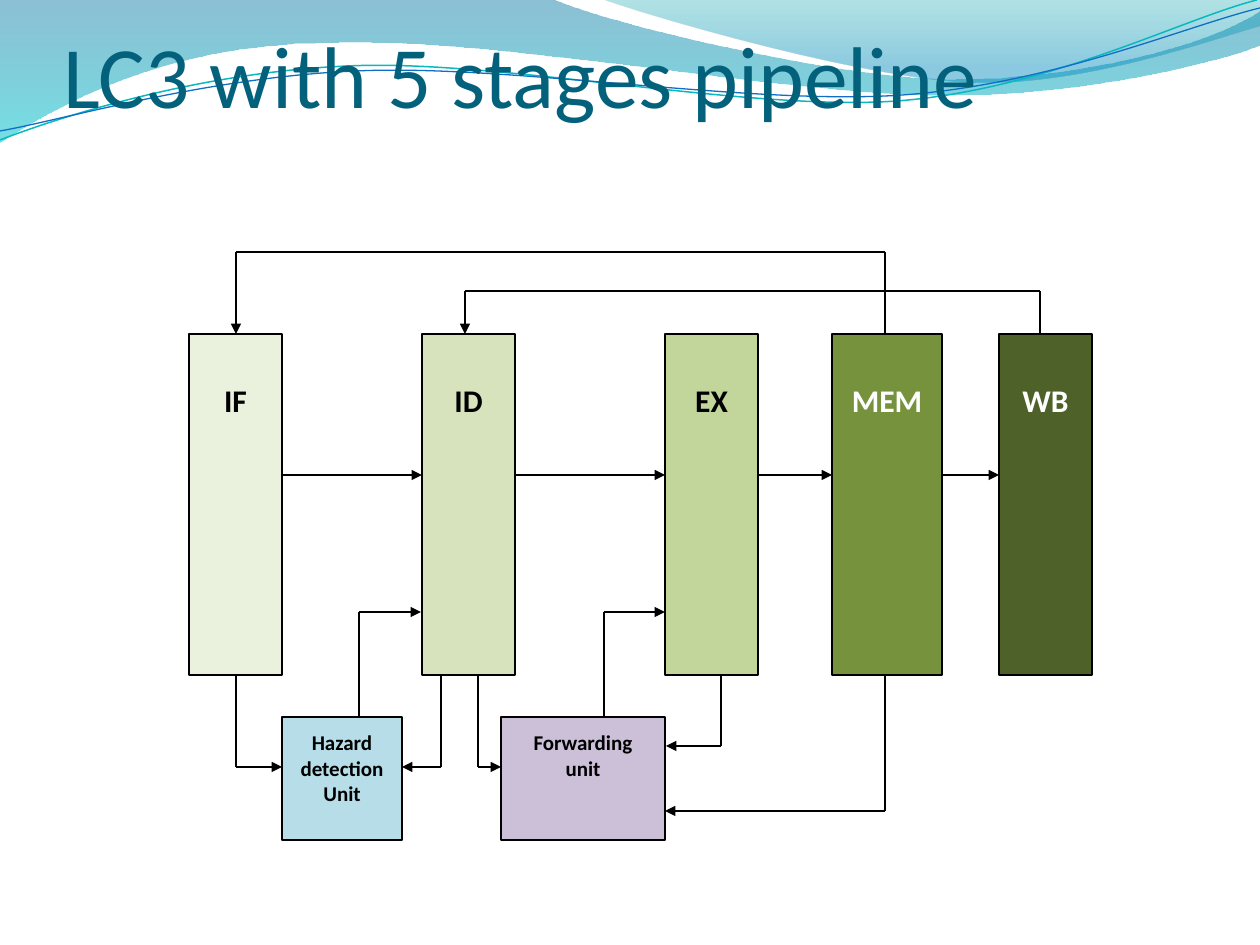
from itertools import pairwise
from lxml.etree import SubElement
from pptx import Presentation
from pptx.dml.color import RGBColor
from pptx.enum.shapes import MSO_CONNECTOR as CONN, MSO_SHAPE as SHAPE
from pptx.enum.text import MSO_ANCHOR as ANCHOR, MSO_AUTO_SIZE as AUTO, PP_ALIGN as ALIGN
from pptx.oxml.ns import qn
from pptx.util import Pt

PX = 914400 / 126
W, H = 1260, 945
FONT = "Calibri"
COLORS = {
    "title": "04617B", "black": "000000", "white": "FFFFFF",
    "if": "EAF1DD", "id": "D6E3BC", "ex": "C2D69B", "mem": "76923C", "wb": "4E6128",
    "hazard": "B6DDE8", "forward": "CCC0D9",
    "band top": "0074A1", "band end": "00C6CF",
    "swell top": "00A1A9", "swell end": "008BBF",
    "teal": "0AB8BF", "blue": "0F6FC6",
}
TITLE = "LC3 with 5 stages pipeline"

TOP, BOTTOM, FLOW_Y = 334, 675, 475
STAGES = [
    ("IF", 189, 93, "if", "black"),
    ("ID", 422, 93, "id", "black"),
    ("EX", 665, 93, "ex", "black"),
    ("MEM", 832, 110, "mem", "white"),
    ("WB", 999, 93, "wb", "white"),
]
UNIT_TOP, UNIT_H = 717, 123
UNITS = [
    ("Hazard\ndetection\nUnit", 282, 120, "hazard"),
    ("Forwarding\nunit", 501, 164, "forward"),
]
ROUTES = [
    [(1040, TOP), (1040, 291), (465, 291), (465, TOP)],
    [(885, TOP), (885, 252), (236, 252), (236, TOP)],
    [(885, BOTTOM), (885, 811), (665, 811)],
    [(721, BOTTOM), (721, 746), (666, 746)],
    [(478, BOTTOM), (478, 767), (501, 767)],
    [(604, UNIT_TOP), (604, 612), (665, 612)],
    [(441, BOTTOM), (441, 767), (402, 767)],
    [(236, BOTTOM), (236, 767), (282, 767)],
    [(359, UNIT_TOP), (359, 612), (421, 612)],
]

FILLED_WAVES = [
    ([(0, 0), (554, 0), (600, 21, 837, 79, 955, 79), (1075, 79, 1207, 47, 1260, 11),
      (1260, 45), (1239, 55, 1096, 96, 940, 95), (783, 95, 481, 35, 324, 43),
      (163, 45, 58, 105, 0, 142)],
     [(0, "band top", 45), (1, "band end", 55)]),
    ([(604, 0), (641, 14, 859, 78, 969, 82), (1079, 87, 1211, 40, 1260, 26), (1260, 0)],
     [(0, "swell top", 30), (0.8, "swell end", 45)]),
]
LINE_WAVES = [
    ([(0, 140), (60, 117, 199, 72, 349, 66), (498, 59, 747, 112, 898, 101),
      (1050, 89, 1182, 19, 1257, 0)], "teal", 0.85),
    ([(0, 131), (59, 121, 207, 77, 357, 71), (508, 64, 752, 106, 903, 95),
      (1053, 84, 1186, 26, 1260, 8)], "blue", 0.75),
]


def emu(*lengths):
    return [round(v * PX) for v in lengths]


def color(name):
    return RGBColor.from_string(COLORS[name])


def set_line(shape, name="black", width=0.75):
    shape.line.color.rgb = color(name)
    shape.line.width = Pt(width)


def style_runs(tf, size, name, bold):
    for p in tf.paragraphs:
        for r in p.runs:
            r.font.name, r.font.size, r.font.bold = FONT, Pt(size), bold
            r.font.color.rgb = color(name)


def add_wave(s, curve, close):
    start, *segments = [emu(*seg) for seg in curve]
    builder = s.shapes.build_freeform(*start, scale=1.0)
    builder.add_line_segments([seg[-2:] for seg in segments], close=close)
    sp = builder.convert_to_shape()
    sp.shadow.inherit = False
    for step, seg in zip(list(sp.element.iter(qn("a:lnTo"))), segments):
        if len(seg) == 6:
            bend = step.makeelement(qn("a:cubicBezTo"))
            for x, y in zip(seg[::2], seg[1::2]):
                SubElement(bend, qn("a:pt"), x=str(x - sp.left), y=str(y - sp.top))
            step.getparent().replace(step, bend)
    return sp


def add_box(s, text, box, fill, size, ink, inset):
    sp = s.shapes.add_shape(SHAPE.RECTANGLE, *emu(*box))
    sp.shadow.inherit = False
    sp.fill.solid()
    sp.fill.fore_color.rgb = color(fill)
    set_line(sp)
    tf = sp.text_frame
    tf.text = text
    tf.word_wrap = True
    tf.vertical_anchor = ANCHOR.TOP
    tf.margin_left = tf.margin_right = 0
    tf.margin_top = emu(inset)[0]
    for p in tf.paragraphs:
        p.alignment = ALIGN.CENTER
    style_runs(tf, size, ink, True)


def add_route(s, points):
    for start, end in pairwise(points):
        line = s.shapes.add_connector(CONN.STRAIGHT, *emu(*start, *end))
        set_line(line)
        if end == points[-1]:
            SubElement(line.line._get_or_add_ln(), qn("a:tailEnd"), type="triangle")
        SubElement(line.element.spPr, qn("a:effectLst"))


prs = Presentation()
prs.slide_width, prs.slide_height = emu(W, H)
s = prs.slides.add_slide(prs.slide_layouts[5])

for curve, stops in FILLED_WAVES:
    sp = add_wave(s, curve, True)
    sp.line.fill.background()
    sp.fill.gradient()
    sp.fill.gradient_angle = 270
    for stop, (position, name, _) in zip(sp.fill.gradient_stops, stops):
        stop.position = position
        stop.color.rgb = color(name)
    for clr, (_, _, alpha) in zip(sp.element.spPr.iter(qn("a:srgbClr")), stops):
        SubElement(clr, qn("a:alpha"), val=str(alpha * 1000))
for curve, name, width in LINE_WAVES:
    sp = add_wave(s, curve, False)
    sp.fill.background()
    set_line(sp, name, width)

title = s.shapes.title
s.shapes.element.append(title.element)
title.left, title.top, title.width, title.height = emu(63, 0, 1134, 126)
tf = title.text_frame
tf.text = TITLE
tf.auto_size = AUTO.NONE
tf.vertical_anchor = ANCHOR.BOTTOM
tf.margin_left = tf.margin_right = tf.margin_bottom = 0
tf.paragraphs[0].alignment = ALIGN.LEFT
style_runs(tf, 50, "title", False)

for text, x, w, fill, ink in STAGES:
    add_box(s, text, (x, TOP, w, BOTTOM - TOP), fill, 18, ink, 47)
for text, x, w, fill in UNITS:
    add_box(s, text, (x, UNIT_TOP, w, UNIT_H), fill, 12, "black", 13)
for (_, x, w, *_), (_, next_x, *_) in pairwise(STAGES):
    add_route(s, [(x + w, FLOW_Y), (next_x, FLOW_Y)])
for points in ROUTES:
    add_route(s, points)

prs.save("out.pptx")
